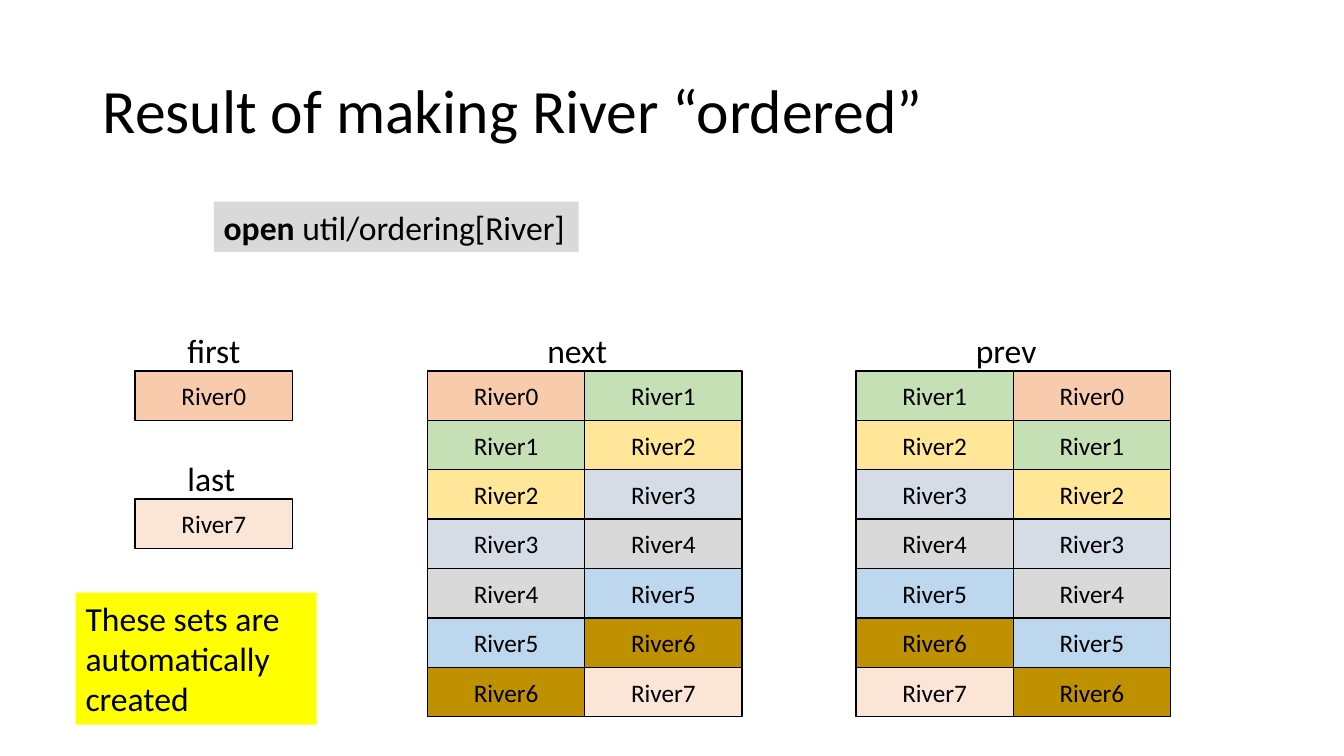
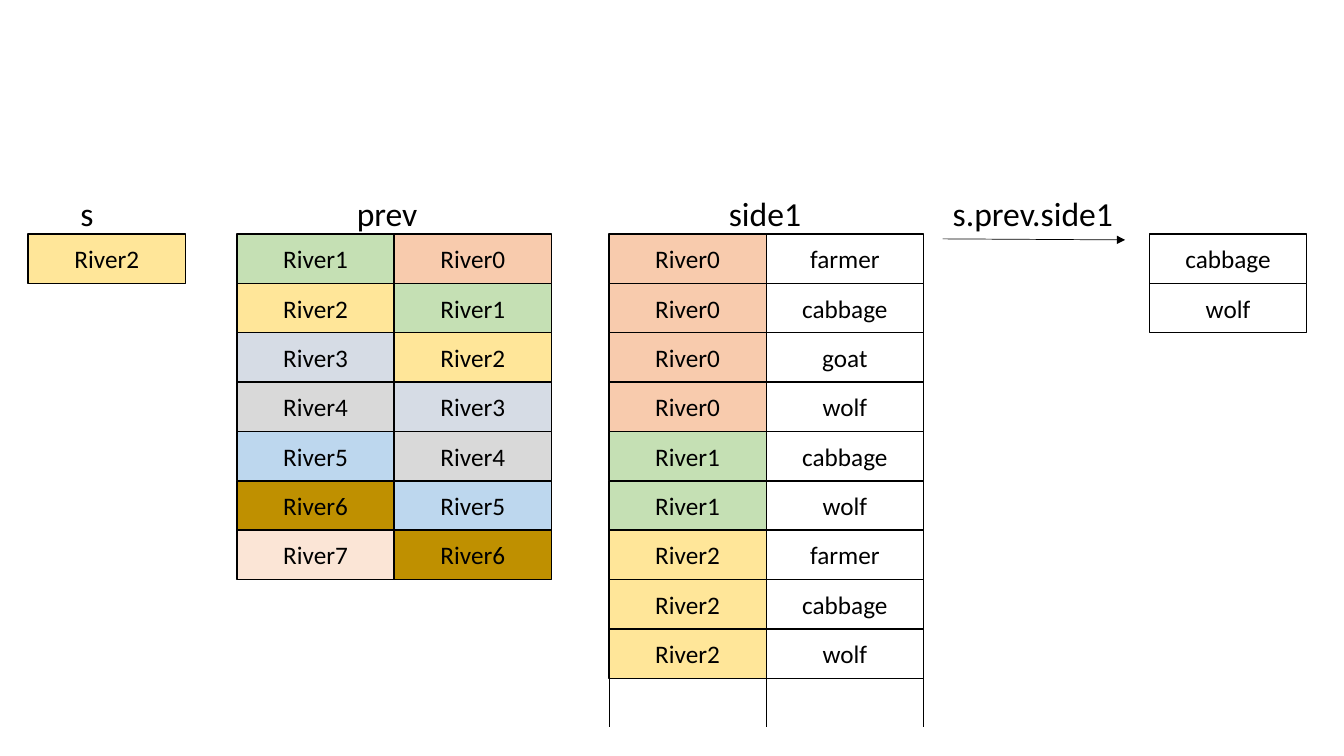
from dataclasses import dataclass

from lxml import etree
from pptx import Presentation
from pptx import util as u
from pptx.dml import color
from pptx.enum import shapes, text
from pptx.oxml import ns
from pptx.shapes import autoshape, connector
from pptx.slide import Slide
from pptx.text import text as body

FONT = "Calibri"
BLACK, WHITE, GREY, YELLOW = "000000", "FFFFFF", "D9D9D9", "FFFF00"
RIVERS = ["F8CBAD", "C5E0B4", "FFE699", "D6DCE5", GREY, "BDD7EE", "BF9000", "FBE5D6"]
NAMES = [f"River{i}" for i in range(len(RIVERS))]
FILLS = dict(zip(NAMES, RIVERS))
CELL_W, CELL_H = 1.56, 0.49
RISE = 0.46
SHIFT = {1: 0.42, 2: 1.09}  # label offset by number of columns

NEXT = list(zip(NAMES, NAMES[1:]))
PREV = list(zip(NAMES[1:], NAMES))
SIDE = [
    ("River0", "farmer"), ("River0", "cabbage"), ("River0", "goat"), ("River0", "wolf"),
    ("River1", "cabbage"), ("River1", "wolf"),
    ("River2", "farmer"), ("River2", "cabbage"), ("River2", "wolf"),
]


@dataclass
class Box:
    x: float
    y: float
    w: float
    h: float

    def place(self) -> tuple[u.Length, ...]:
        return tuple(u.Inches(n) for n in (self.x, self.y, self.w, self.h))


@dataclass
class Grid:
    """A relation drawn as rows of cells, with its name above."""
    x: float
    y: float
    rows: list[tuple[str, ...]]
    name: str = ""
    name_w: float = 0


def rgb(code: str) -> color.RGBColor:
    return color.RGBColor.from_string(code)


def style(font: body.Font, size: int) -> None:
    font.name, font.size = FONT, u.Pt(size)
    font.color.rgb = rgb(BLACK)


def add_rect(slide: Slide, box: Box, fill: str, edge: bool = False) -> autoshape.Shape:
    rect = slide.shapes.add_shape(shapes.MSO_SHAPE.RECTANGLE, *box.place())
    rect.shadow.inherit = False
    rect.fill.solid()
    rect.fill.fore_color.rgb = rgb(fill)
    if edge:
        rect.line.color.rgb = rgb(BLACK)
        rect.line.width = u.Pt(1)
    else:
        rect.line.fill.background()
    return rect


def write(shape: autoshape.Shape, *parts: str, wrap: bool = False) -> None:
    """Put left-aligned 24 pt runs in a shape that grows with its text."""
    frame = shape.text_frame
    frame.word_wrap = wrap
    frame.auto_size = text.MSO_AUTO_SIZE.SHAPE_TO_FIT_TEXT
    frame.vertical_anchor = text.MSO_ANCHOR.TOP
    para = frame.paragraphs[0]
    para.alignment = text.PP_ALIGN.LEFT
    for part in parts:
        run = para.add_run()
        run.text = part
        style(run.font, 24)


def add_label(slide: Slide, box: Box, words: str) -> None:
    write(slide.shapes.add_textbox(*box.place()), words)


def add_cell(slide: Slide, x: float, y: float, words: str) -> None:
    cell = add_rect(slide, Box(x, y, CELL_W, CELL_H), FILLS.get(words, WHITE), edge=True)
    frame = cell.text_frame
    frame.text = words
    frame.vertical_anchor = text.MSO_ANCHOR.MIDDLE
    para = frame.paragraphs[0]
    para.alignment = text.PP_ALIGN.CENTER
    style(para.runs[0].font, 18)


def add_grid(slide: Slide, grid: Grid) -> None:
    for i, row in enumerate(grid.rows):
        for j, words in enumerate(row):
            add_cell(slide, grid.x + j * CELL_W, grid.y + i * CELL_H, words)
    if grid.name:
        left = grid.x + SHIFT[len(grid.rows[0])]
        add_label(slide, Box(left, grid.y - RISE, grid.name_w, 0.5), grid.name)


def add_line(slide: Slide, x: float, y: float, to_x: float, to_y: float) -> connector.Connector:
    ends = [u.Inches(n) for n in (x, y, to_x, to_y)]
    line = slide.shapes.add_connector(shapes.MSO_CONNECTOR.STRAIGHT, *ends)
    line.line.color.rgb = rgb(BLACK)
    line.line.width = u.Pt(0.5)
    etree.SubElement(line._element.spPr, ns.qn("a:effectLst"))
    return line


def add_title(slide: Slide, words: str) -> None:
    title = slide.shapes.title
    title.left, title.top, title.width, title.height = Box(0.92, 0.4, 11.5, 1.45).place()
    frame = title.text_frame
    frame.text = words
    frame.vertical_anchor = text.MSO_ANCHOR.MIDDLE
    para = frame.paragraphs[0]
    para.alignment = text.PP_ALIGN.LEFT
    para.line_spacing = 0.9
    style(para.runs[0].font, 44)


def draw_order(slide: Slide) -> None:
    add_title(slide, "Result of making River “ordered”")
    code = add_rect(slide, Box(2.12, 2, 3.62, 0.5), GREY)
    write(code, "open", " util/ordering[River]")
    code.text_frame.paragraphs[0].runs[0].font.bold = True
    for grid in (
        Grid(1.34, 3.68, [("River0",)], "first", 0.73),
        Grid(1.34, 4.95, [("River7",)], "last", 0.68),
        Grid(8.49, 3.68, PREV, "prev", 0.81),
        Grid(4.24, 3.68, NEXT, "next", 0.8),
    ):
        add_grid(slide, grid)
    note = add_rect(slide, Box(0.75, 5.88, 2.39, 1.31), YELLOW)
    write(note, "These sets are automatically created", wrap=True)


def draw_join(slide: Slide) -> None:
    top = 2.32
    arrow = add_line(slide, 9.35, 2.37, 11.16, 2.38)
    etree.SubElement(arrow.line._get_or_add_ln(), ns.qn("a:tailEnd"), type="triangle")
    add_label(slide, Box(9.35, top - RISE, 1.81, 0.5), "s.prev.side1")
    side = Grid(6.04, top, SIDE, "side1", 0.95)
    for grid in (
        Grid(11.4, top, [("cabbage",), ("wolf",)]),
        Grid(0.28, top, [("River2",)], "s", 0.33),
        Grid(2.35, top, PREV, "prev", 0.81),
        side,
    ):
        add_grid(slide, grid)
    end = top + len(SIDE) * CELL_H
    for col in range(3):
        x = side.x + col * CELL_W
        add_line(slide, x, end, x, 7.21)


def main() -> None:
    deck = Presentation()
    deck.slide_width, deck.slide_height = u.Inches(13.33), u.Inches(7.5)
    title_only, blank = deck.slide_layouts[5], deck.slide_layouts[6]
    draw_order(deck.slides.add_slide(title_only))
    draw_join(deck.slides.add_slide(blank))
    deck.save("out.pptx")


if __name__ == "__main__":
    main()
